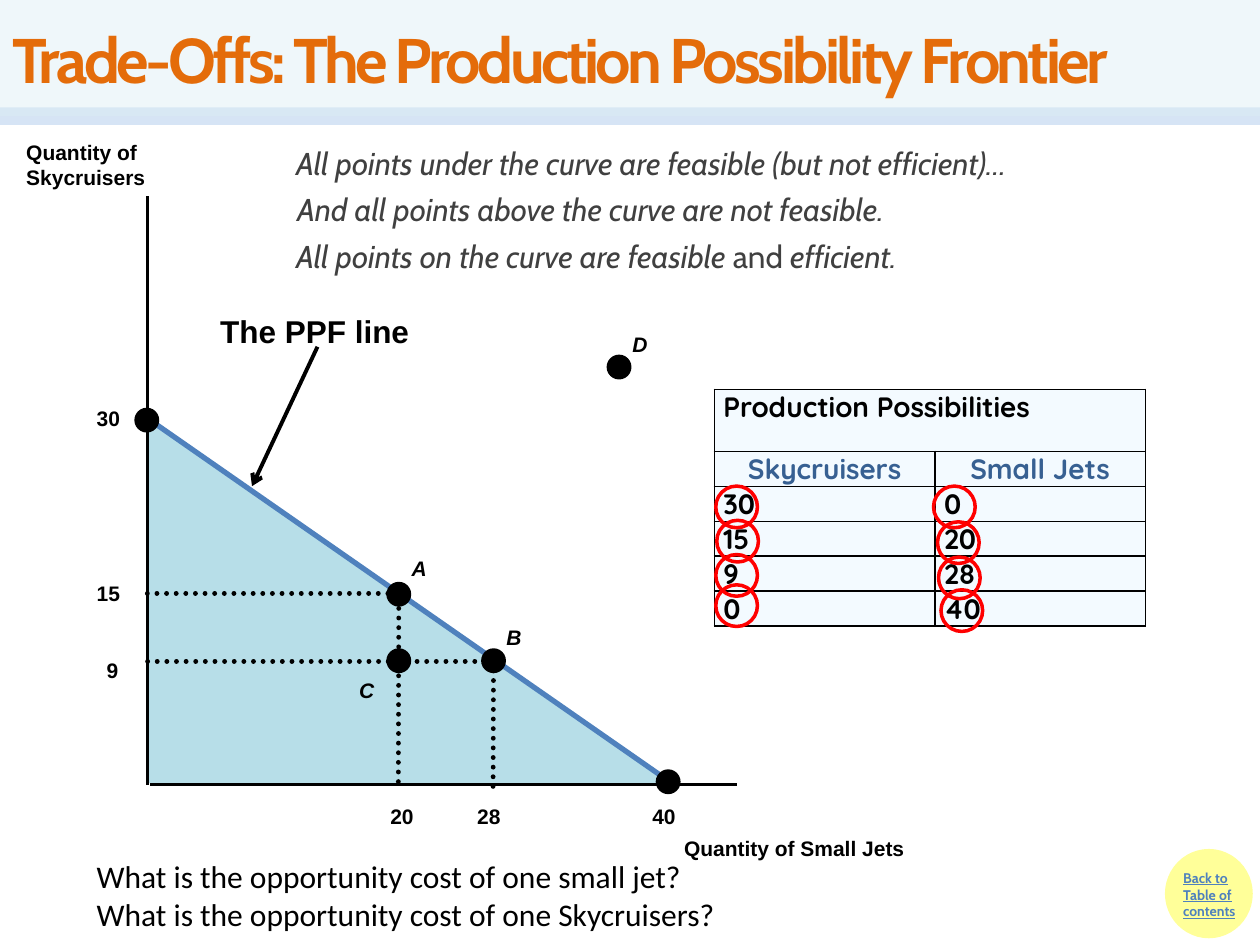
from lxml.etree import SubElement
from pptx import Presentation
from pptx.dml.color import RGBColor
from pptx.enum.dml import MSO_LINE
from pptx.enum.shapes import MSO_CONNECTOR, MSO_SHAPE
from pptx.enum.text import MSO_ANCHOR, PP_ALIGN
from pptx.oxml.ns import qn
from pptx.util import Cm, Pt

colour = RGBColor.from_string

deck = Presentation()
deck.slide_width, deck.slide_height = Cm(25.4), Cm(19.05)
page = deck.slides.add_slide(deck.slide_layouts[5])


def add_text(left, top, width, height, lines, size=12, font="Arial", ink="000000",
             bold=True, italic=False, wrap=True):
    box = page.shapes.add_textbox(Cm(left), Cm(top), Cm(width), Cm(height))
    frame = box.text_frame
    frame.word_wrap = wrap
    frame.text = lines
    for paragraph in frame.paragraphs:
        paragraph.font.size, paragraph.font.name = Pt(size), font
        paragraph.font.bold, paragraph.font.italic = bold, italic
        paragraph.font.color.rgb = colour(ink)
    return frame.paragraphs[0]


def add_line(x1, y1, x2, y2, width, ink="000000"):
    line = page.shapes.add_connector(MSO_CONNECTOR.STRAIGHT, Cm(x1), Cm(y1), Cm(x2), Cm(y2))
    line.line.width = Pt(width)
    line.line.color.rgb = colour(ink)
    SubElement(line.element.find(qn("p:spPr")), qn("a:effectLst"))
    return line


band = add_line(0, 2.34, 25.4, 2.34, 10, "C6D9F1")
SubElement(band.element.find(".//" + qn("a:srgbClr")), qn("a:alpha"), val="71000")

for kind, left, top, width, height, fill in [
    (MSO_SHAPE.OVAL, 23.52, 17.15, 1.7, 1.73, "FFFF99"),
    (MSO_SHAPE.ISOSCELES_TRIANGLE, 3, 8.46, 10.49, 7.29, "B7DEE8"),
]:
    area = page.shapes.add_shape(kind, Cm(left), Cm(top), Cm(width), Cm(height))
    area.shadow.inherit = False
    area.fill.solid()
    area.fill.fore_color.rgb = area.line.color.rgb = colour(fill)
    area.line.width = Pt(2)
area.adjustments[0] = 0

back = add_text(23.6, 17.4, 1.83, 1.7, "Back to Table of contents", 8, "Cabin", "4F81BD")
back.font.underline = True

title = page.shapes.title
title.left, title.top, title.width, title.height = Cm(0), Cm(0), Cm(25.4), Cm(2.34)
title.fill.solid()
title.fill.fore_color.rgb = colour("DBEEF4")
SubElement(title.element.find(".//" + qn("a:srgbClr")), qn("a:alpha"), val="44000")
title.text_frame.text = "Trade-Offs: The Production Possibility Frontier"
title.text_frame.vertical_anchor = MSO_ANCHOR.MIDDLE
heading = title.text_frame.paragraphs[0]
heading.alignment = PP_ALIGN.LEFT
heading.font.size, heading.font.name = Pt(36), "Cabin"
heading.font.color.rgb = colour("E46C0A")
heading.runs[0].font.bold = True
title.element.find(".//" + qn("a:rPr")).set("spc", "-200")
page.shapes.element.append(title.element)

rows = [
    ("Production Possibilities", ""),
    ("Skycruisers", "Small Jets"),
    ("30", "0"),
    ("15", "20"),
    ("9", "28"),
    ("0", "40"),
]
table = page.shapes.add_table(len(rows), 2, Cm(14.4), Cm(7.85), Cm(8.69), Cm(4.62)).table
table.columns[0].width, table.columns[1].width = Cm(4.45), Cm(4.24)
for index, values in enumerate(rows):
    table.rows[index].height = Cm(0.64 if index else 1.25)
    for column, value in enumerate(values):
        cell = table.cell(index, column)
        cell.margin_left = cell.margin_right = Cm(0.18)
        cell.margin_top = cell.margin_bottom = 0
        cell.text = value
        paragraph = cell.text_frame.paragraphs[0]
        paragraph.alignment = PP_ALIGN.CENTER if index == 1 else PP_ALIGN.LEFT
        paragraph.font.size, paragraph.font.name, paragraph.font.bold = Pt(16), "Quicksand", True
        paragraph.font.color.rgb = colour("376092" if index == 1 else "000000")
        properties = cell._tc.get_or_add_tcPr()
        for side in ("lnL", "lnR", "lnT", "lnB"):
            border = SubElement(properties, qn("a:" + side), w=str(Pt(1)))
            SubElement(SubElement(border, qn("a:solidFill")), qn("a:srgbClr"), val="000000")
        cell.fill.solid()
        cell.fill.fore_color.rgb = colour("F3FAFF")
table.cell(0, 0).merge(table.cell(0, 1))

for left, top in [(14.43, 9.8), (18.82, 9.8), (14.45, 10.49), (18.9, 10.52),
                  (14.43, 11.18), (18.92, 11.23), (14.43, 11.79), (18.97, 11.89)]:
    ring = page.shapes.add_shape(MSO_SHAPE.OVAL, Cm(left), Cm(top), Cm(0.84), Cm(0.84))
    ring.shadow.inherit = False
    ring.fill.background()
    ring.line.color.rgb = colour("FF0000")
    ring.line.width = Pt(2)

add_line(2.97, 8.43, 13.56, 15.8, 3, "4F81BD")
add_line(2.97, 3.96, 2.97, 15.82, 1.5)
add_line(3.02, 15.82, 14.86, 15.82, 1.5)
for x1, y1, x2, y2 in [(7.82, 11.96, 2.97, 11.96), (9.96, 13.33, 2.84, 13.33),
                       (8.04, 12.07, 8.03, 15.88), (9.95, 13.33, 9.94, 15.88)]:
    guide = add_line(x1, y1, x2, y2, 2.75)
    guide.line.dash_style = MSO_LINE.ROUND_DOT
    guide.element.find(".//" + qn("a:ln")).set("cap", "rnd")
arrow = add_line(6.4, 6.99, 5.08, 9.8, 2.25)
SubElement(arrow.element.find(".//" + qn("a:ln")), qn("a:tailEnd"), type="arrow")

dot_size = 0.43
for x, y in [(2.96, 8.47), (8.04, 11.98), (9.95, 13.32), (13.47, 15.76),
             (8.04, 13.32), (12.48, 7.4)]:
    dot = page.shapes.add_shape(MSO_SHAPE.OVAL, Cm(x - dot_size / 2), Cm(y - dot_size / 2),
                                Cm(dot_size), Cm(dot_size))
    dot.shadow.inherit = False
    dot.fill.solid()
    dot.fill.fore_color.rgb = dot.line.color.rgb = colour("000000")
    dot.line.width = Pt(2)

for label, left, top in [("30", 1.7, 8.05), ("15", 1.7, 11.58), ("9", 1.9, 13.13),
                         ("40", 12.9, 16.08), ("28", 9.37, 16.08), ("20", 7.62, 16.08)]:
    add_text(left, top, 1.27, 0.76, label)
for label, left, top in [("A", 8.05, 11.07), ("B", 9.96, 12.47),
                         ("C", 6.99, 13.54), ("D", 12.5, 6.55)]:
    add_text(left, top, 1.27, 0.76, label, italic=True)

add_text(4.19, 6.17, 5.51, 1.02, "The PPF line", 18)
add_text(0.28, 2.69, 2.97, 1.27, "Quantity of\nSkycruisers", wrap=False)
add_text(13.54, 16.71, 5.11, 0.76, "Quantity of Small Jets")

note = {"size": 18, "font": "Cabin", "ink": "404040", "bold": False, "italic": True}
add_text(5.72, 2.77, 17.58, 1.02,
         "All points under the curve are feasible (but not efficient)…", **note)
add_text(5.74, 3.71, 17.58, 1.02, "And all points above the curve are not feasible.", **note)
efficient = add_text(5.72, 4.65, 17.58, 1.02, "All points on the curve are feasible ", **note)
for words, italic in [("and", False), (" efficient.", True)]:
    span = efficient.add_run()
    span.text = words
    span.font.italic = italic

add_text(1.7, 17.15, 13.41, 1.8,
         "What is the opportunity cost of one small jet?\n"
         "What is the opportunity cost of one Skycruisers?",
         18, "Calibri", bold=False, wrap=False)

deck.save("out.pptx")
